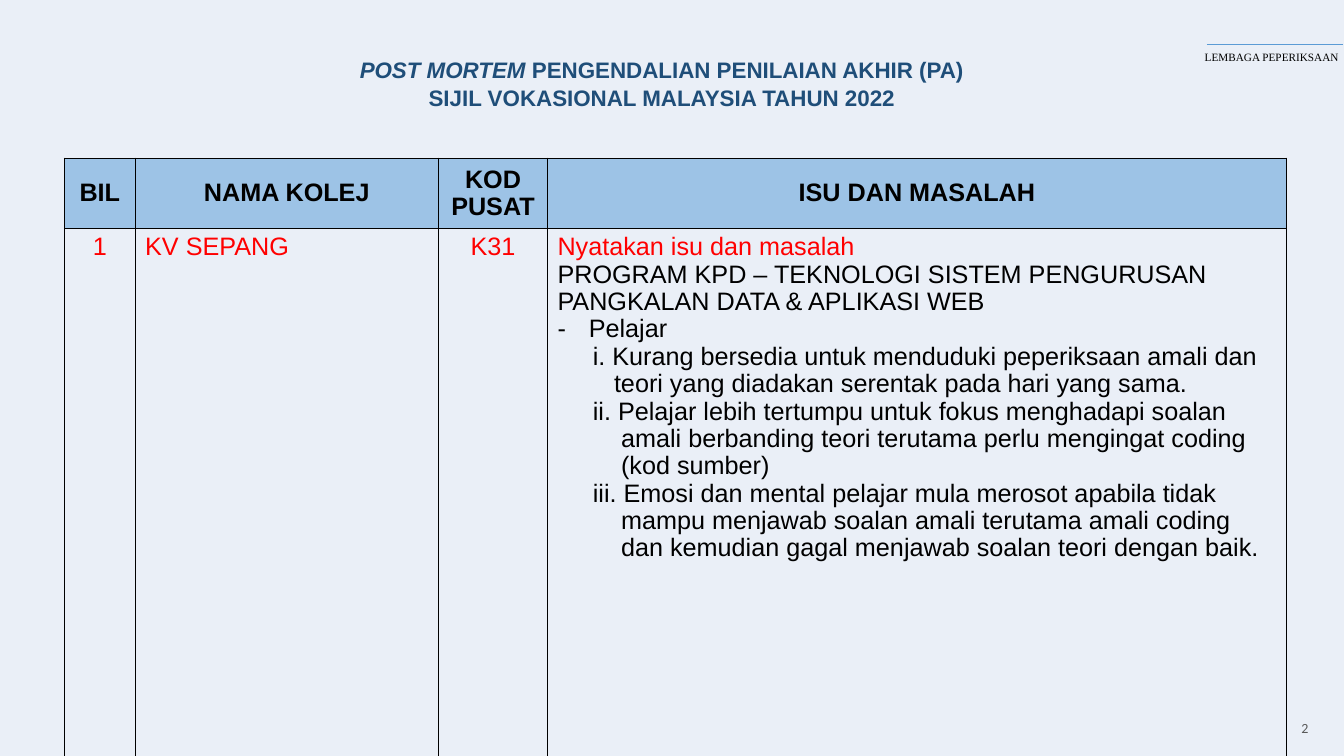
from dataclasses import dataclass

from lxml.etree import SubElement
from pptx import Presentation
from pptx.dml.color import RGBColor
from pptx.enum.shapes import MSO_CONNECTOR
from pptx.enum.text import MSO_ANCHOR as Anchor, PP_ALIGN as Align
from pptx.oxml.ns import qn
from pptx.util import Inches, Pt

BLACK, RED, NAVY, GREY = "000000", "FF0000", "1F4E79", "595959"
HEADER_BLUE, RULE_BLUE, BACKGROUND = "9DC3E6", "5B9BD5", "EAEFF7"


@dataclass(frozen=True)
class Style:
    size: float
    color: str = BLACK
    font: str = "Arial"
    bold: bool = False
    align: Align = Align.LEFT
    spacing: float = 1.0


@dataclass(frozen=True)
class Line:
    text: str
    color: str = BLACK
    left: float = 0
    hanging: float = 0
    bullet: str = ""


@dataclass(frozen=True)
class Column:
    heading: str
    width: float
    align: Align
    lines: tuple[Line, ...]


COLUMNS = (
    Column("BIL", 0.7, Align.CENTER, (Line("1", RED),)),
    Column("NAMA KOLEJ", 3.01, Align.LEFT, (Line("KV SEPANG", RED),)),
    Column("KOD PUSAT", 1.08, Align.CENTER, (Line("K31", RED),)),
    Column("ISU DAN MASALAH", 7.33, Align.LEFT, (
        Line("Nyatakan isu dan masalah", RED),
        Line("PROGRAM KPD – TEKNOLOGI SISTEM PENGURUSAN PANGKALAN DATA & APLIKASI WEB"),
        Line("Pelajar", left=0.31, hanging=0.31, bullet="-"),
        Line("i. Kurang bersedia untuk menduduki peperiksaan amali dan "
             "teori yang diadakan serentak pada hari yang sama.", left=0.56, hanging=0.21),
        Line("ii. Pelajar lebih tertumpu untuk fokus menghadapi soalan amali berbanding "
             "teori terutama perlu mengingat coding (kod sumber)", left=0.63, hanging=0.28),
        Line("iii. Emosi dan mental pelajar mula merosot apabila tidak mampu menjawab "
             "soalan amali terutama amali coding dan kemudian gagal menjawab soalan "
             "teori dengan baik.", left=0.63, hanging=0.28),
    )),
)
ROW_HEIGHTS = (0.7, 5.5)


def rgb(color: str) -> RGBColor:
    return RGBColor.from_string(color)


def format_paragraph(paragraph, style: Style) -> None:
    paragraph.alignment = style.align
    paragraph.line_spacing = style.spacing
    for run in paragraph.runs:
        run.font.size = Pt(style.size)
        run.font.name = style.font
        run.font.bold = style.bold
        run.font.color.rgb = rgb(style.color)


def indent(paragraph, line: Line) -> None:
    properties = paragraph._p.get_or_add_pPr()
    properties.set("marL", str(Inches(line.left)))
    properties.set("indent", str(-Inches(line.hanging)))
    if line.bullet:
        SubElement(properties, qn("a:buFont"), typeface="Arial")
        SubElement(properties, qn("a:buChar"), char=line.bullet)


def add_text(slide, box: tuple[float, ...], text: str, style: Style, wrap: bool = True):
    frame = slide.shapes.add_textbox(*map(Inches, box)).text_frame
    frame.word_wrap = wrap
    frame.text = text
    for paragraph in frame.paragraphs:
        format_paragraph(paragraph, style)
    return frame


def add_borders(cell) -> None:
    properties = cell._tc.get_or_add_tcPr()
    for position, side in enumerate(("lnL", "lnR", "lnT", "lnB")):
        border = properties.makeelement(qn(f"a:{side}"), {"w": str(Pt(1))})
        fill = SubElement(border, qn("a:solidFill"))
        SubElement(fill, qn("a:srgbClr"), val=BLACK)
        properties.insert(position, border)


def fill_cell(cell, lines: tuple[Line, ...], align: Align, heading: bool = False) -> None:
    frame = cell.text_frame
    frame.text = "\n".join(line.text for line in lines)
    for paragraph, line in zip(frame.paragraphs, lines):
        format_paragraph(paragraph, Style(18, line.color, bold=heading, align=align, spacing=0.97))
        if line.left:
            indent(paragraph, line)
    if heading:
        cell.vertical_anchor = Anchor.MIDDLE
        cell.fill.solid()
        cell.fill.fore_color.rgb = rgb(HEADER_BLUE)
    else:
        cell.fill.background()
    add_borders(cell)


def add_issues(slide) -> None:
    width = sum(column.width for column in COLUMNS)
    issues = slide.shapes.add_table(
        len(ROW_HEIGHTS), len(COLUMNS), Inches(0.64), Inches(1.57),
        Inches(width), Inches(sum(ROW_HEIGHTS))).table
    for row, height in zip(issues.rows, ROW_HEIGHTS):
        row.height = Inches(height)
    for index, column in enumerate(COLUMNS):
        issues.columns[index].width = Inches(column.width)
        fill_cell(issues.cell(0, index), (Line(column.heading),), Align.CENTER, heading=True)
        fill_cell(issues.cell(1, index), column.lines, column.align)
    issues.cell(1, len(COLUMNS) - 1).margin_right = Inches(0.15)


def add_title(slide) -> None:
    style = Style(16, NAVY, bold=True, align=Align.CENTER, spacing=1.05)
    title = add_text(slide, (2.93, 0.47, 7.27, 0.76),
                     "POST MORTEM \nSIJIL VOKASIONAL MALAYSIA TAHUN 2022", style)
    title.vertical_anchor = Anchor.BOTTOM
    title.margin_left = title.margin_right = Inches(0.13)
    title.margin_top = title.margin_bottom = Inches(0.13)
    opening = title.paragraphs[0]
    opening.add_run().text = "PENGENDALIAN PENILAIAN AKHIR (PA)"
    format_paragraph(opening, style)
    opening.runs[0].font.italic = True


def add_rule(slide) -> None:
    rule = slide.shapes.add_connector(
        MSO_CONNECTOR.STRAIGHT, Inches(11.97), Inches(0.44), Inches(13.32), Inches(0.44))
    rule.line.color.rgb = rgb(RULE_BLUE)
    rule.line.width = Pt(0.5)
    SubElement(rule._element.spPr, qn("a:effectLst"))


deck = Presentation()
deck.slide_width, deck.slide_height = Inches(13.33), Inches(7.5)
slide = deck.slides.add_slide(deck.slide_layouts[6])
slide.background.fill.solid()
slide.background.fill.fore_color.rgb = rgb(BACKGROUND)

add_rule(slide)
add_text(slide, (11.85, 0.45, 2.13, 0.24), "LEMBAGA PEPERIKSAAN",
         Style(8, font="Times New Roman"))
add_issues(slide)
add_title(slide)
add_text(slide, (12.81, 7.09, 0.31, 0.27), "2", Style(10, GREY, "Calibri"), wrap=False)

deck.save("out.pptx")
